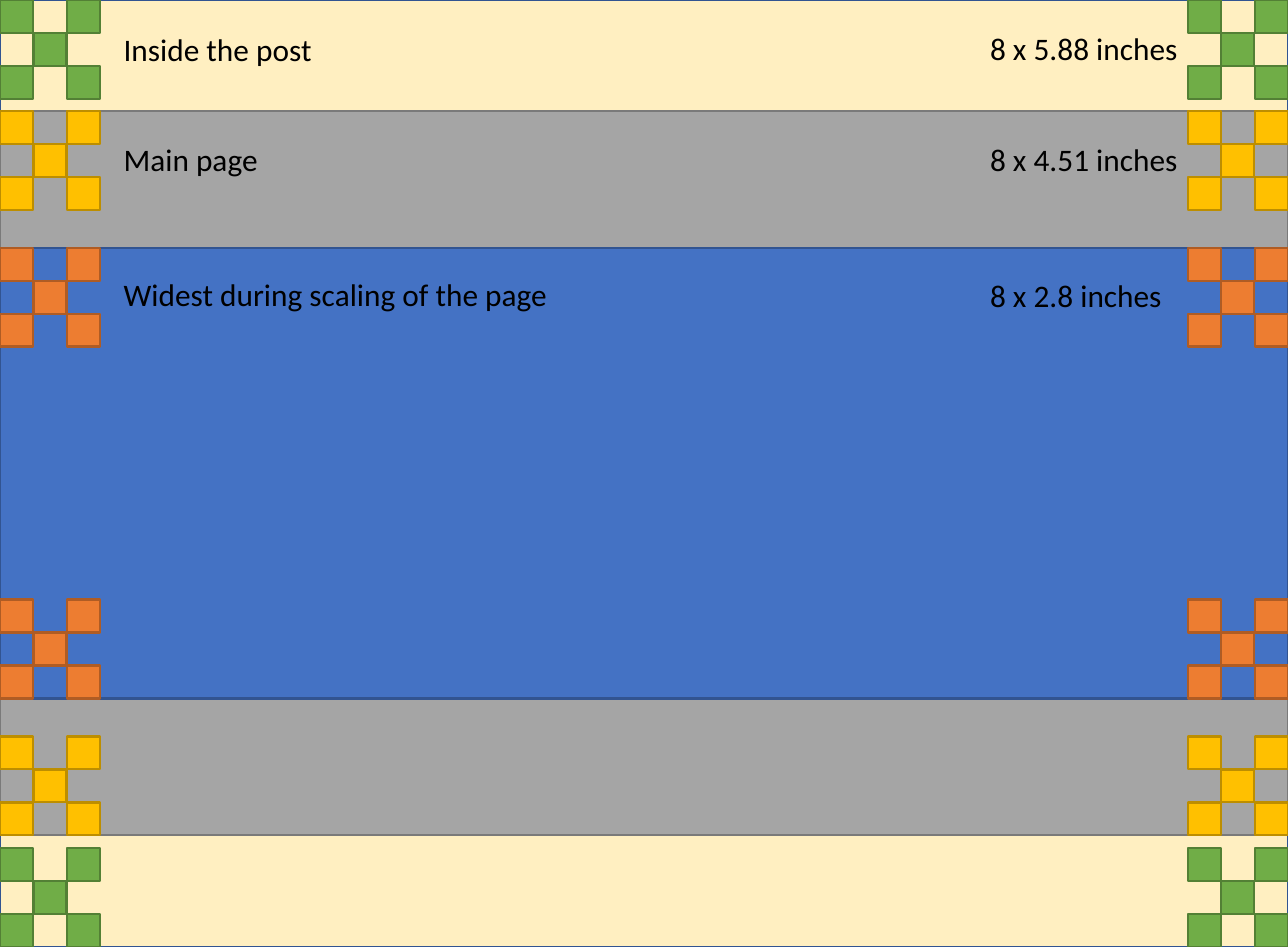
from dataclasses import dataclass
from itertools import product

from lxml import etree
from pptx import Presentation
from pptx.dml.color import RGBColor
from pptx.enum.shapes import MSO_SHAPE
from pptx.enum.text import MSO_AUTO_SIZE
from pptx.oxml.ns import qn
from pptx.util import Cm, Pt

RECTANGLE = MSO_SHAPE.RECTANGLE
FIT_SHAPE = MSO_AUTO_SIZE.SHAPE_TO_FIT_TEXT
NO_FIT = MSO_AUTO_SIZE.NONE

# Content: each band is cropped symmetrically; lengths are in centimetres.
# A label is (text, left, top, width).
BANDS = [
    {"top": 0, "height": 14.94, "fill": "cream", "marker": "green",
     "labels": [("Inside the post", 1.7, 0.36, 3.51),
                ("8 x 5.88 inches", 15.37, 0.33, 3.51)]},
    {"top": 1.75, "height": 11.43, "fill": "grey", "marker": "gold",
     "labels": [("Main page", 1.7, 2.08, 2.67),
                ("8 x 4.51 inches", 15.37, 2.08, 3.51)]},
    {"top": 3.91, "height": 7.11, "fill": "blue", "marker": "orange",
     "labels": [("Widest during scaling of the page", 1.7, 4.22, 7.26),
                ("8 x 2.8 inches", 15.37, 4.24, 3.25)]},
]
PAGE_WIDTH, PAGE_HEIGHT = 20.32, 14.94
LABEL_HEIGHT = 0.86
SQUARE = 0.52
STEP_X, STEP_Y = 0.53, 0.52
MARKER_WIDTH = 2 * STEP_X + SQUARE
MARKER_HEIGHT = 2 * STEP_Y + SQUARE
MARKER_CELLS = [(0, 0), (2, 0), (1, 1), (0, 2), (2, 2)]


@dataclass(frozen=True)
class Theme:
    """Colours as (fill, line, opacity in percent), and type."""
    cream: tuple = ("FFD966", "325491", 40)
    grey: tuple = ("A5A5A5", "7A7A7A", 100)
    blue: tuple = ("4472C4", "325491", 100)
    green: tuple = ("70AD47", "538035", 100)
    gold: tuple = ("FFC000", "BD8E00", 100)
    orange: tuple = ("ED7D31", "AF5C24", 100)
    text: str = "000000"
    font: str = "Calibri"
    size: int = 14
    line_width: int = 1


THEME = Theme()


def add_rectangle(shapes, left, top, width, height, style):
    """Add an outlined rectangle in one of the theme's styles."""
    fill, line, opacity = getattr(THEME, style)
    box = shapes.add_shape(RECTANGLE, Cm(left), Cm(top), Cm(width), Cm(height))
    box.shadow.inherit = False
    box.fill.solid()
    box.fill.fore_color.rgb = RGBColor.from_string(fill)
    box.line.color.rgb = RGBColor.from_string(line)
    box.line.width = Pt(THEME.line_width)
    if opacity < 100:
        colour = box.fill._xPr.find(qn("a:solidFill"))[0]
        etree.SubElement(colour, qn("a:alpha"), val=str(opacity * 1000))


def add_marker(page, left, top, style):
    """Add a grouped checker of five squares."""
    group = page.shapes.add_group_shape()
    for column, row in MARKER_CELLS:
        add_rectangle(group.shapes, left + column * STEP_X,
                      top + row * STEP_Y, SQUARE, SQUARE, style)


def add_label(page, text, left, top, width):
    """Add a single line of text that does not wrap."""
    box = page.shapes.add_textbox(Cm(left), Cm(top), Cm(width), Cm(LABEL_HEIGHT))
    frame = box.text_frame
    frame.word_wrap = False
    frame.auto_size = FIT_SHAPE
    paragraph = frame.paragraphs[0]
    paragraph.text = text
    paragraph.font.name = THEME.font
    paragraph.font.size = Pt(THEME.size)
    paragraph.font.color.rgb = RGBColor.from_string(THEME.text)


def add_band(page, band):
    """Add a full-width band with a marker in each corner and its labels."""
    top, height = band["top"], band["height"]
    add_rectangle(page.shapes, 0, top, PAGE_WIDTH, height, band["fill"])
    lefts = (0, PAGE_WIDTH - MARKER_WIDTH)
    tops = (top, top + height - MARKER_HEIGHT)
    for marker_left, marker_top in product(lefts, tops):
        add_marker(page, marker_left, marker_top, band["marker"])
    for label in band["labels"]:
        add_label(page, *label)


def main():
    """Build the one-page deck."""
    deck = Presentation()
    deck.slide_width, deck.slide_height = Cm(PAGE_WIDTH), Cm(PAGE_HEIGHT)
    page = deck.slides.add_slide(deck.slide_layouts[6])
    for band in BANDS:
        add_band(page, band)
    deck.save("out.pptx")


main()
